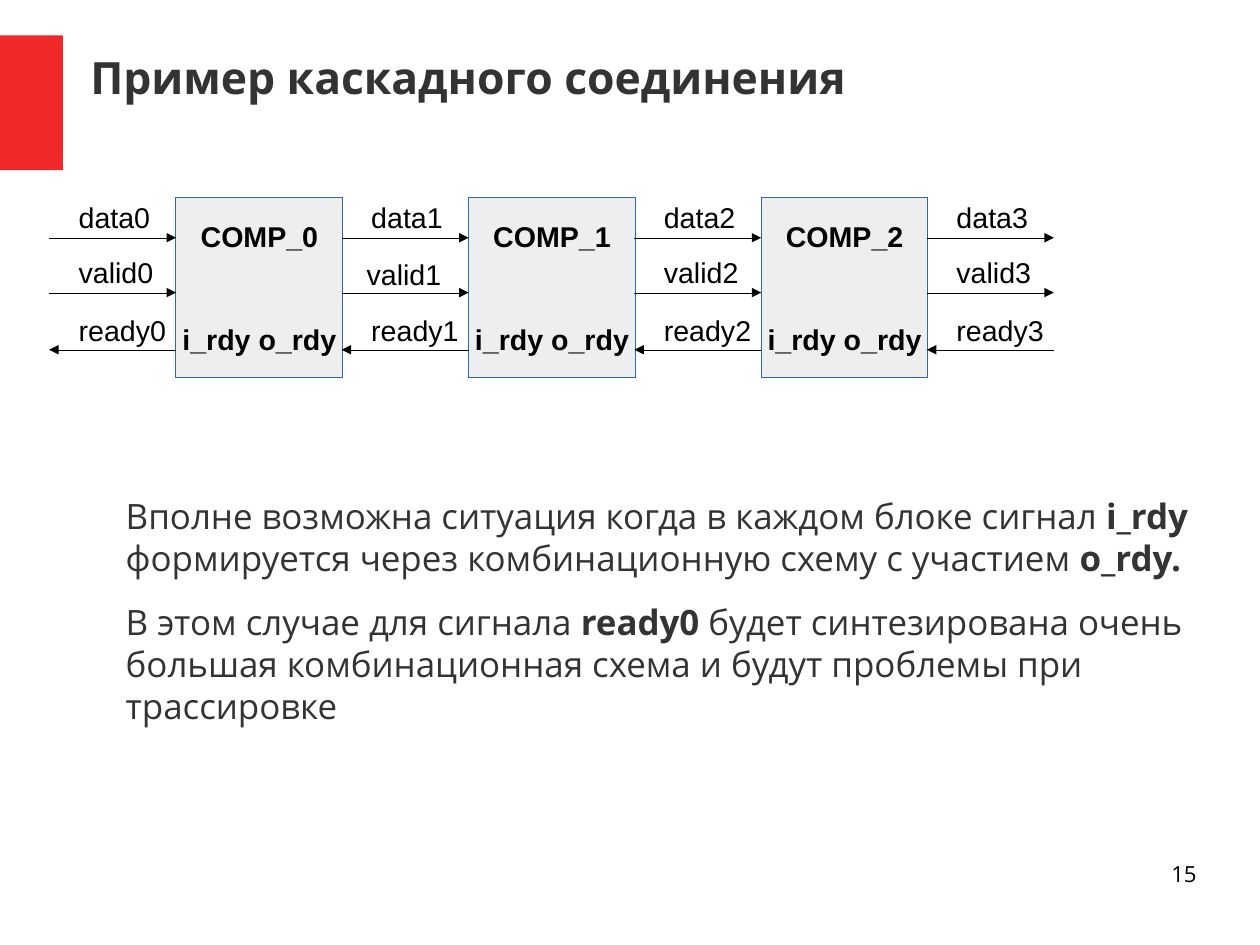
from dataclasses import dataclass

from pptx import Presentation
from pptx.dml.color import RGBColor
from pptx.enum.shapes import MSO_CONNECTOR, MSO_SHAPE
from pptx.enum.text import MSO_ANCHOR, PP_ALIGN
from pptx.oxml.ns import qn
from pptx.util import Cm, Inches, Pt
from lxml.etree import SubElement

STEP = 2.56
WIRE_LEFT, WIRE_LEN = 0.43, 1.11
BLOCK_TOP, BLOCK_WIDTH, BLOCK_HEIGHT = 1.73, 1.46, 1.57
BLOCKS = 3
HAIRLINE = Pt(0.01)
DARK, BLACK, RED = "333333", "000000", "EF2929"
SANS = {"name": "Open Sans", "color": DARK}
LABEL = {"name": "Arial", "size": Pt(18), "color": BLACK}
BODY = [
    [("Вполне возможна ситуация когда в каждом блоке сигнал ", False),
     ("i_rdy", True),
     (" формируется через комбинационную схему с участием ", False),
     ("o_rdy.", True)],
    [("В этом случае для сигнала ", False),
     ("ready0", True),
     (" будет синтезирована очень большая комбинационная схема"
      " и будут проблемы при трассировке", False)],
]


@dataclass
class Signal:
    name: str
    line_y: float
    text_y: float
    back: bool = False


SIGNALS = [
    Signal("valid", 2.56, 2.18),
    Signal("ready", 3.06, 2.69, back=True),
    Signal("data", 2.08, 1.7),
]
NUDGES = {"valid1": (-0.04, 0.02)}


def paint(color, value: str) -> None:
    color.rgb = RGBColor.from_string(value)


def style(font, looks: dict) -> None:
    for key, value in looks.items():
        if key == "color":
            paint(font.color, value)
        else:
            setattr(font, key, value)


def set_frame(frame, inset: tuple = (0, 0), wrap: bool = True,
              anchor=MSO_ANCHOR.TOP) -> None:
    side, edge = map(Inches, inset)
    looks = {"margin_left": side, "margin_right": side,
             "margin_top": edge, "margin_bottom": edge,
             "word_wrap": wrap, "vertical_anchor": anchor}
    for key, value in looks.items():
        setattr(frame, key, value)


def add_run(para, text: str, looks: dict) -> None:
    run = para.add_run()
    run.text = text
    style(run.font, looks)


def add_rect(shapes, left: float, top: float, width: float, height: float,
             fill: str):
    rect = shapes.add_shape(MSO_SHAPE.RECTANGLE, Inches(left), Inches(top),
                            Inches(width), Inches(height))
    rect.shadow.inherit = False
    rect.fill.solid()
    paint(rect.fill.fore_color, fill)
    rect.line.fill.background()
    return rect


def add_text(shapes, left: float, top: float, width: float, height: float):
    return shapes.add_textbox(Inches(left), Inches(top), Inches(width),
                              Inches(height)).text_frame


def add_block(shapes, index: int) -> None:
    left = WIRE_LEFT + WIRE_LEN + index * STEP
    rect = add_rect(shapes, left, BLOCK_TOP, BLOCK_WIDTH, BLOCK_HEIGHT,
                    "EEEEEE")
    paint(rect.line.color, "3465A4")
    rect.line.width = HAIRLINE
    frame = rect.text_frame
    set_frame(frame, (0.1, 0.05), False, MSO_ANCHOR.MIDDLE)
    name, ports = frame.paragraphs[0], frame.add_paragraph()
    ports.space_before = Pt(43)
    for para, text in ((name, f"COMP_{index}"), (ports, "i_rdy o_rdy")):
        para.alignment = PP_ALIGN.CENTER
        add_run(para, text, LABEL | {"bold": True})


def add_wire(shapes, signal: Signal, index: int) -> None:
    """Draw one arrow and its label; a back signal points left."""
    left = WIRE_LEFT + index * STEP
    start, end = left, left + WIRE_LEN
    if signal.back:
        start, end = end, start
    y = Inches(signal.line_y)
    wire = shapes.add_connector(MSO_CONNECTOR.STRAIGHT, Inches(start), y,
                                Inches(end), y)
    paint(wire.line.color, BLACK)
    wire.line.width = HAIRLINE
    SubElement(wire.line._get_or_add_ln(), qn("a:tailEnd"), type="triangle")
    SubElement(wire._element.spPr, qn("a:effectLst"))

    text = f"{signal.name}{index}"
    dx, dy = NUDGES.get(text, (0, 0))
    frame = add_text(shapes, left + 0.16 + dx, signal.text_y + dy, 1, 0.65)
    set_frame(frame, (0.1, 0.05), False)
    add_run(frame.paragraphs[0], text, LABEL)


def add_body(shapes) -> None:
    frame = add_text(shapes, 0.63, 4.33, 10.08, 2.68)
    set_frame(frame)
    for index, parts in enumerate(BODY):
        para = frame.add_paragraph() if index else frame.paragraphs[0]
        para._p.get_or_add_pPr().set("marL", str(Inches(0.47)))
        para.space_after = Pt(14.1)
        for text, bold in parts:
            add_run(para, text, SANS | {"size": Pt(22), "bold": bold})


def add_title(slide) -> None:
    title = slide.shapes.title
    spot = {"left": 0.79, "top": 0.33, "width": 9.68, "height": 0.69}
    for key, value in spot.items():
        setattr(title, key, Inches(value))
    set_frame(title.text_frame, anchor=MSO_ANCHOR.MIDDLE)
    para = title.text_frame.paragraphs[0]
    para.alignment = PP_ALIGN.LEFT
    add_run(para, "Пример каскадного соединения",
            SANS | {"size": Pt(28), "bold": True})


def add_number(shapes) -> None:
    frame = add_text(shapes, 7.9, 7.53, 2.57, 0.57)
    set_frame(frame)
    para = frame.paragraphs[0]
    para.alignment = PP_ALIGN.RIGHT
    add_run(para, "15", SANS | {"size": Pt(14), "color": BLACK})


def main() -> None:
    deck = Presentation()
    deck.slide_width, deck.slide_height = Cm(28), Cm(21)
    slide = deck.slides.add_slide(deck.slide_layouts[5])
    shapes = slide.shapes
    add_rect(shapes, 0, 0.31, 0.55, 1.18, RED)
    add_title(slide)
    add_body(shapes)
    for index in range(BLOCKS + 1):
        if index < BLOCKS:
            add_block(shapes, index)
        for signal in SIGNALS:
            add_wire(shapes, signal, index)
    add_number(shapes)
    deck.save("out.pptx")


if __name__ == "__main__":
    main()
